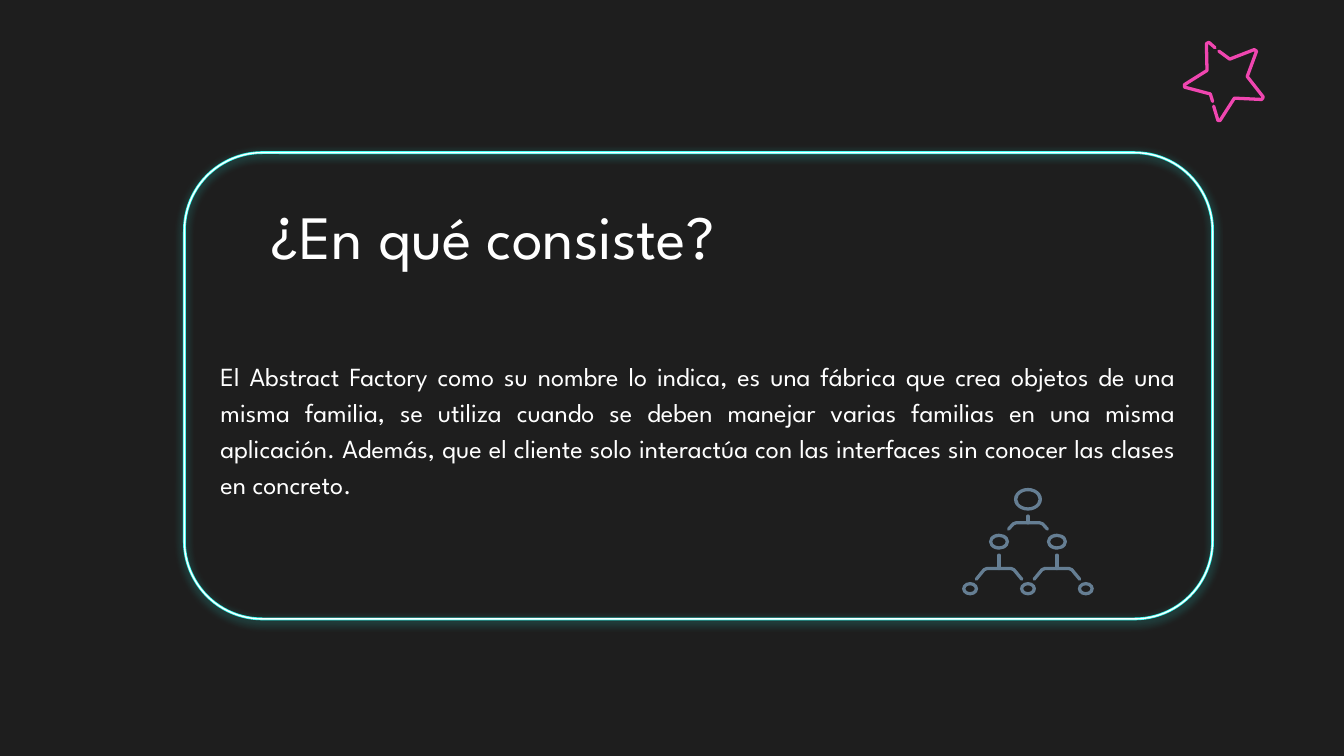
from lxml.etree import SubElement
from pptx import Presentation
from pptx.dml.color import RGBColor
from pptx.enum.shapes import MSO_SHAPE
from pptx.enum.text import MSO_ANCHOR, MSO_AUTO_SIZE, PP_ALIGN
from pptx.oxml.ns import qn
from pptx.util import Pt

NIGHT = RGBColor(0x1E, 0x1E, 0x1E)
WHITE = RGBColor(0xFF, 0xFF, 0xFF)
CYAN = RGBColor(0x30, 0xFC, 0xF1)
PINK = RGBColor(0xF0, 0x46, 0xB0)
SLATE = RGBColor(0x65, 0x7E, 0x93)
FONT = "League Spartan"


def write(shape, text, size, align, spacing=1.0, top=7.2):
    frame = shape.text_frame
    frame.word_wrap = True
    frame.auto_size = MSO_AUTO_SIZE.NONE
    frame.vertical_anchor = MSO_ANCHOR.TOP
    frame.margin_left = frame.margin_right = frame.margin_bottom = Pt(7.2)
    frame.margin_top = Pt(top)
    paragraph = frame.paragraphs[0]
    paragraph.alignment = align
    paragraph.line_spacing = spacing
    paragraph.space_before = Pt(0)
    run = paragraph.add_run()
    run.text = text
    run.font.name = FONT
    run.font.size = Pt(size)
    run.font.color.rgb = WHITE


def stroke(shapes, strands, color, width):
    builder = None
    for strand in strands:
        points = [(Pt(x), Pt(y)) for x, y in strand]
        if builder is None:
            builder = shapes.build_freeform(*points[0], scale=1.0)
        else:
            builder.move_to(*points[0])
        builder.add_line_segments(points[1:], close=False)
    outline = builder.convert_to_shape()
    outline.shadow.inherit = False
    outline.fill.background()
    outline.line.color.rgb = color
    outline.line.width = Pt(width)
    line_xml = outline.line._get_or_add_ln()
    line_xml.set("cap", "rnd")
    SubElement(line_xml, qn("a:round"))


deck = Presentation()
deck.slide_width, deck.slide_height = Pt(720), Pt(405)
slide = deck.slides.add_slide(deck.slide_layouts[5])
slide.background.fill.solid()
slide.background.fill.fore_color.rgb = NIGHT
shapes = slide.shapes

heading = shapes.title
heading.left, heading.top = Pt(138.2), Pt(98.6)
heading.width, heading.height = Pt(442.8), Pt(54.7)
write(heading, "¿En qué consiste?", size=33, align=PP_ALIGN.LEFT)

for color, width in ((CYAN, 1.5), (WHITE, 0.75)):
    card = shapes.add_shape(MSO_SHAPE.ROUNDED_RECTANGLE,
                            Pt(98.8), Pt(81.8), Pt(550.8), Pt(249.8))
    card.adjustments[0] = 0.167
    card.shadow.inherit = False
    card.fill.background()
    card.line.color.rgb = color
    card.line.width = Pt(width)
    if color == CYAN:
        effects = card._element.spPr.find(qn("a:effectLst"))
        glow = SubElement(effects, qn("a:outerShdw"), blurRad=str(Pt(4.5)),
                          dist=str(Pt(1.5)), dir="5400000", rotWithShape="0")
        tint = SubElement(glow, qn("a:srgbClr"), val=str(CYAN))
        SubElement(tint, qn("a:alpha"), val="50000")

write(card,
      "El Abstract Factory como su nombre lo indica, es una fábrica que crea "
      "objetos de una misma familia, se utiliza cuando se deben manejar varias "
      "familias en una misma aplicación. Además, que el cliente solo interactúa "
      "con las interfaces sin conocer las clases en concreto.",
      size=14, align=PP_ALIGN.JUSTIFY, spacing=1.15, top=96.5)

star_right = [(653, 27.4), (658.8, 31.7), (671.9, 26.6), (673.2, 27.4),
              (668.2, 41), (676.8, 52), (676, 53.3), (661.3, 52.6),
              (653.6, 64.6), (652.5, 64.6), (650.2, 56.9)]
star_left = [(650.9, 25.6), (647.6, 22.7), (646.3, 23.4), (646.6, 37.8),
             (634.5, 45.4), (634.5, 46.7), (648.4, 50.4), (649.6, 54.4)]
for star_part in (star_right, star_left):
    stroke(shapes, [star_part], PINK, 1.75)

TREE_X, STEP = 550.7, 15.5
RING = 1.8
tree_levels = (
    ((0,), 267.5, 15, 12.2),
    ((-1, 1), 290.2, 10.8, 8.6),
    ((-2, 0, 2), 315.4, 8.6, 7.2),
)
for offsets, middle, width, height in tree_levels:
    for offset in offsets:
        node = shapes.add_shape(
            MSO_SHAPE.DONUT, Pt(TREE_X + offset * STEP - width / 2),
            Pt(middle - height / 2), Pt(width), Pt(height))
        node.adjustments[0] = RING / height
        node.shadow.inherit = False
        node.fill.solid()
        node.fill.fore_color.rgb = SLATE
        node.line.fill.background()

tree_branches = (
    (0, 276.5, 280.1, 283.5, 7.9, 10.4),
    (-1, 297.4, 304.6, 310.3, 8, 12.2),
    (1, 297.4, 304.6, 310.3, 8, 12.2),
)
for offset, top, rail, foot, rail_reach, foot_reach in tree_branches:
    x = TREE_X + offset * STEP
    stroke(shapes, [
        [(x, top), (x, rail)],
        [(x - foot_reach, foot), (x - rail_reach, rail + 0.6),
         (x - rail_reach + 1.5, rail), (x + rail_reach - 1.5, rail),
         (x + rail_reach, rail + 0.6), (x + foot_reach, foot)],
    ], SLATE, 1.75)

deck.save("out.pptx")
